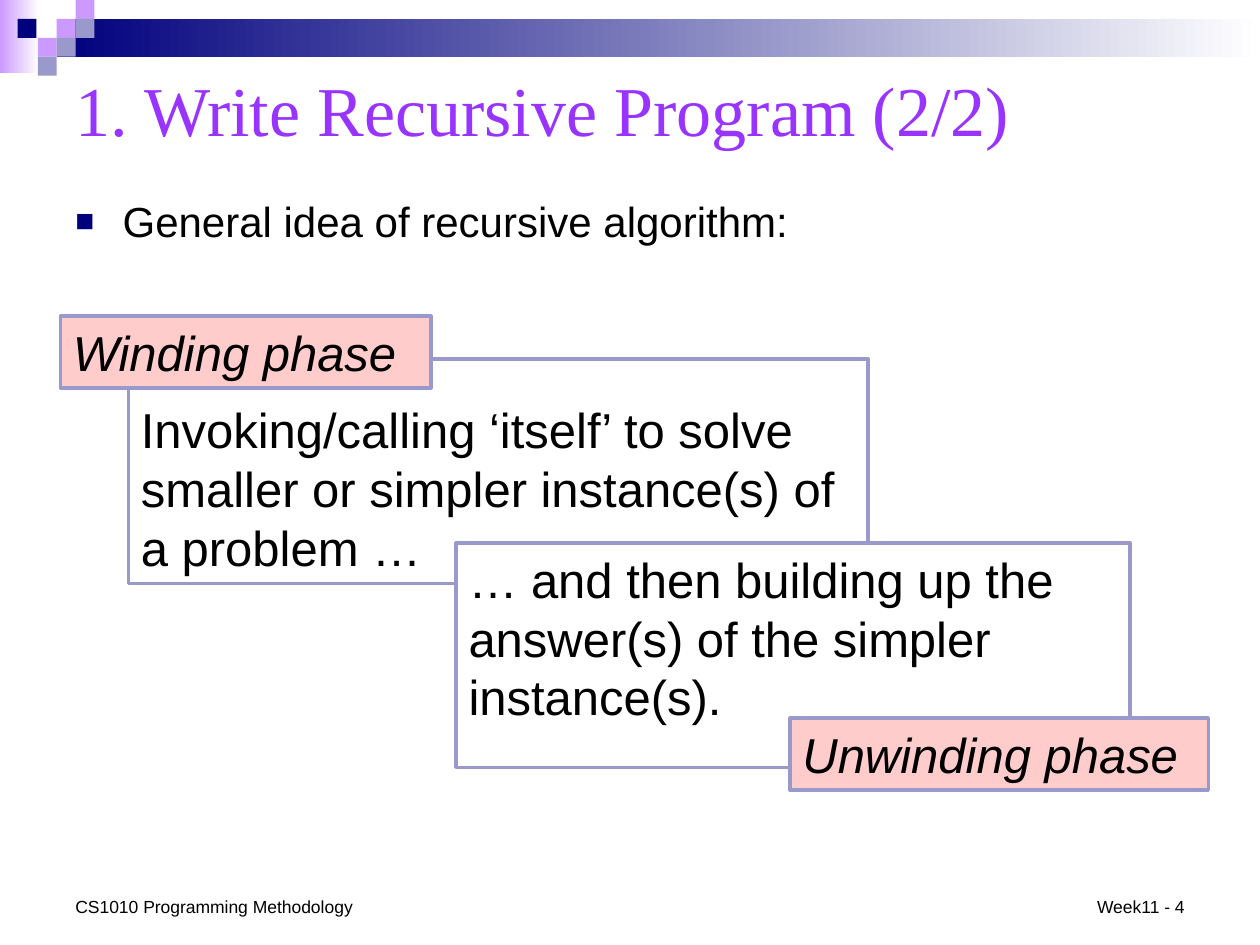
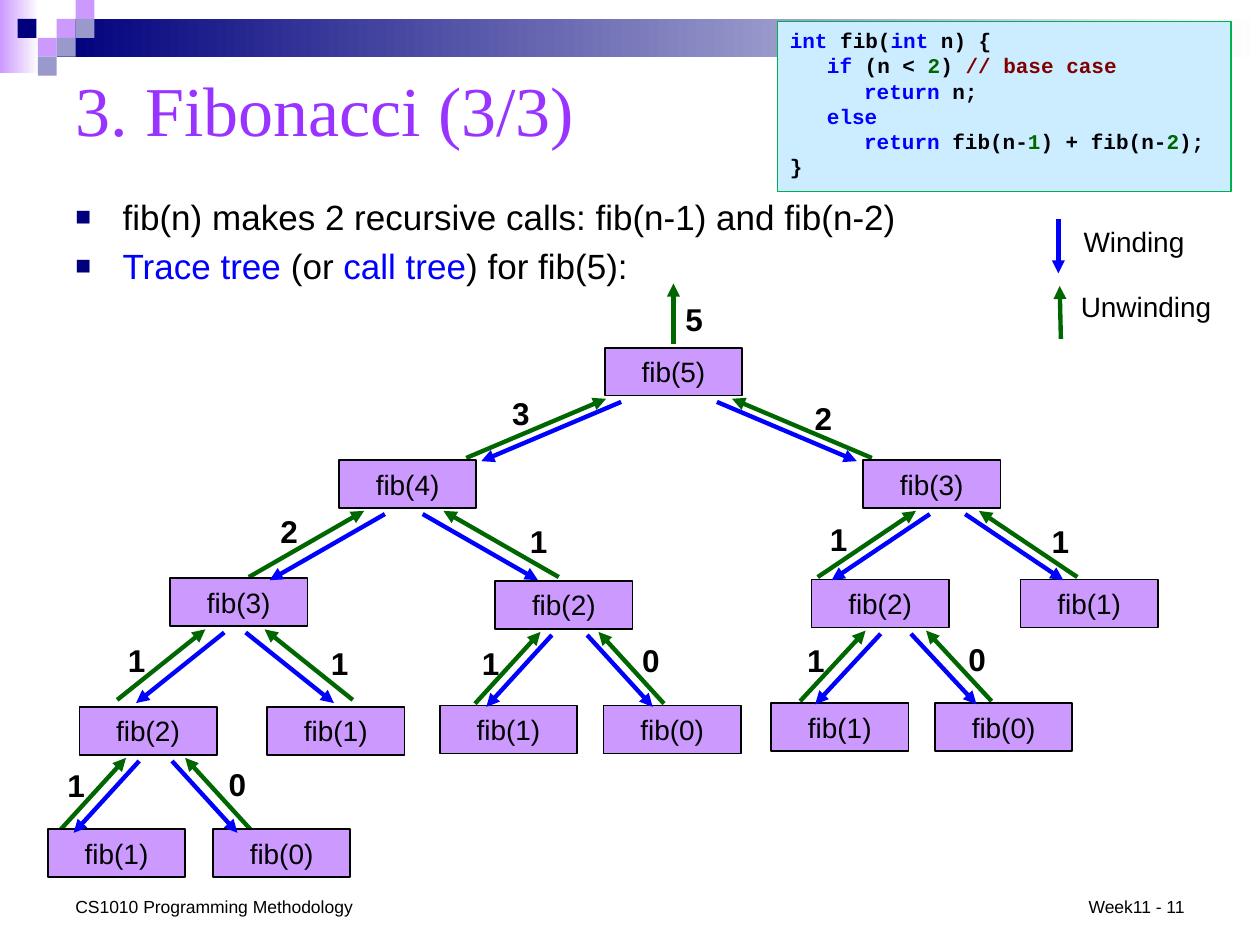
"""Build two lecture slides on recursion: the general idea and a Fibonacci call tree."""
import pptx
import pptx.dml.color
import pptx.enum.shapes
import pptx.enum.text
import pptx.oxml
import pptx.oxml.ns
import pptx.util

ALIGN = pptx.enum.text.PP_ALIGN
ANCHOR = pptx.enum.text.MSO_ANCHOR
RECTANGLE = pptx.enum.shapes.MSO_SHAPE.RECTANGLE
STRAIGHT = pptx.enum.shapes.MSO_CONNECTOR.STRAIGHT

BLACK, WHITE, NAVY = "000000", "FFFFFF", "00007D"
VIOLET, LILAC, SLATE, PINK = "9933FF", "CC99FF", "9999CC", "FFCCCC"
BLUE, GREEN, MAROON = "0000FF", "006600", "800000"
CODE_FILL, CODE_EDGE = "CCECFF", "00B050"

deck = pptx.Presentation()
deck.slide_width, deck.slide_height = pptx.util.Inches(10), pptx.util.Inches(7.5)
CELL = deck.slide_width / 100
NODE_COLS, NODE_ROWS = 10.9, 3.8
VALUE_COLS, VALUE_ROWS = 3.3, 3.1

TREE_NODES = [
    (5, 44.2, 5.1), (4, 23.1, 14), (3, 64.7, 14), (3, 9.7, 23.4),
    (2, 35.5, 23.6), (2, 60.6, 23.5), (1, 77.2, 23.5),
    (2, 2.5, 33.6), (1, 17.4, 33.6), (1, 31.1, 33.5), (0, 44.1, 33.5),
    (1, 57.4, 33.3), (0, 70.4, 33.3), (1, 0, 43.3), (0, 13.1, 43.3),
]
# parent, run, drop, lane gap, then (side, tip, value, value column, value row)
TREE_BRANCHES = [
    (0, 11.1, 4.7, 1.2, (-1, -5.35, 3, -12.1, 1.45), (1, 4.65, 2, 11.9, 1.85)),
    (1, 9.15, 5.25, 1.65, (-1, -3.45, 2, -9.4, 1.85), (1, 2.85, 1, 10.4, 2.65)),
    (2, 7.8, 5.25, 1.1, (-1, -1.25, 1, -7.4, 2.55), (1, 3.75, 1, 10.2, 2.65)),
    (3, 7, 5.6, 1.5, (-1, -2.65, 1, -8.1, 2.75), (1, 2.05, 1, 8, 2.95)),
    (4, 5.2, 5.7, 0.9, (-1, -1.85, 1, -5.8, 2.75), (1, 2.75, 0, 6.9, 2.55)),
    (5, 5.2, 5.6, 1.2, (-1, -1.15, 1, -5.1, 2.65), (1, 3.65, 0, 7.7, 2.55)),
    (7, 5.2, 5.7, 1.05, (-1, -1.75, 1, -5.7, 2.45), (1, 2.95, 0, 7.1, 2.35)),
]
FIB_CODE = [
    (0, [("int", BLUE), (" fib(", BLACK), ("int", BLUE), (" n) {", BLACK)]),
    (1, [("if", BLUE), (" (n < ", BLACK), ("2", GREEN), (")", BLACK),
         (" // base case", MAROON)]),
    (2, [("return", BLUE), (" n;", BLACK)]),
    (1, [("else", BLUE)]),
    (2, [("return", BLUE), (" fib(n-", BLACK), ("1", GREEN), (") + fib(n-", BLACK),
         ("2", GREEN), (");", BLACK)]),
    (0, [("}", BLACK)]),
]


def color(value):
    """Turn a hex string into a colour."""
    return pptx.dml.color.RGBColor.from_string(value)


def cells(*counts):
    """Turn counts of grid cells into slide lengths."""
    return [round(count * CELL) for count in counts]


def apply(target, values):
    """Set each named format value on the target."""
    for name, value in values.items():
        setattr(target, name, value)


def write(frame, lines, size, font="Arial", ink=BLACK, align=ALIGN.LEFT,
          bold=False, italic=False, **layout):
    """Write lines, each a string or a list of (text, ink) runs, into a frame."""
    apply(frame, {"word_wrap": True, "vertical_anchor": ANCHOR.TOP, **layout})
    for number, line in enumerate(lines):
        paragraph = frame.add_paragraph() if number else frame.paragraphs[0]
        paragraph.alignment = align
        for text, run_ink in [(line, ink)] if isinstance(line, str) else line:
            run = paragraph.add_run()
            run.text = text
            apply(run.font, {"size": pptx.util.Pt(size), "name": font,
                             "bold": bold, "italic": italic})
            run.font.color.rgb = color(run_ink)
    return frame.paragraphs


def add_text(slide, box, lines, size, **style):
    """Place a plain text box and return its paragraphs."""
    return write(slide.shapes.add_textbox(*cells(*box)).text_frame, lines, size, **style)


def add_panel(slide, box, fill, edge=None, weight=1.0):
    """Place a rectangle; a pair of fills makes a left-to-right gradient."""
    panel = slide.shapes.add_shape(RECTANGLE, *cells(*box))
    panel.shadow.inherit = False
    if isinstance(fill, tuple):
        panel.fill.gradient()
        panel.fill.gradient_angle = 0
        for stop, position, tint in zip(panel.fill.gradient_stops, (0, 1), fill):
            apply(stop, {"position": position})
            stop.color.rgb = color(tint)
    else:
        panel.fill.solid()
        panel.fill.fore_color.rgb = color(fill)
    if edge:
        panel.line.color.rgb = color(edge)
        panel.line.width = pptx.util.Pt(weight)
    else:
        panel.line.fill.background()
    return panel.text_frame


def add_arrow(slide, start, end, ink):
    """Draw a straight arrow from start to end."""
    arrow = slide.shapes.add_connector(STRAIGHT, *cells(*start, *end))
    arrow.line.color.rgb = color(ink)
    arrow.line.width = pptx.util.Pt(2.5)
    line_xml = arrow.line._get_or_add_ln()
    pptx.oxml.ns.qn("a:tailEnd")
    line_xml.append(pptx.oxml.parse_xml(
        f'<a:tailEnd {pptx.oxml.ns.nsdecls("a")} type="triangle"/>'))
    line_xml.getparent().append(pptx.oxml.parse_xml(
        f'<a:effectLst {pptx.oxml.ns.nsdecls("a")}/>'))


def corner_band(slide, box):
    """Draw the gradient band and the checkered corner along the top."""
    left, top, width, _ = box
    add_panel(slide, (left, top, 3.1, 5.8), (LILAC, WHITE))
    add_panel(slide, (left + 4.5, top + 1.5, width - 4.5, 3), (NAVY, WHITE))
    checks = [(3, 1, LILAC), (4, 0, LILAC), (4, 1, SLATE), (2, 2, LILAC),
              (0.93, 1, NAVY), (3, 2, SLATE), (2, 3, SLATE)]
    for column, row, tint in checks:
        add_panel(slide, (left + column * 1.5, top + row * 1.5, 1.5, 1.5), tint)


def footer(slide, box, page):
    """Place the course name at the left and the page at the right."""
    left, top, width, height = box
    style = {"vertical_anchor": ANCHOR.BOTTOM, "word_wrap": False}
    add_text(slide, (left, top, 24.2, height), ["CS1010 Programming Methodology"], 10, **style)
    add_text(slide, (left + width - 9.9, top, 9.9, height), [f"Week11 - {page}"], 10,
             align=ALIGN.RIGHT, **style)


def bullets(slide, box, lines, size):
    """List lines with square bullets."""
    for paragraph in add_text(slide, box, lines, size):
        paragraph.space_before = pptx.util.Pt(size * 0.2)
        properties = paragraph._p.get_or_add_pPr()
        indent, = cells(3.75)
        properties.set("marL", str(indent))
        properties.set("indent", str(-indent))
        for mark in (f'buClr {{ns}}><a:srgbClr val="{NAVY}"/></a:buClr',
                     'buSzPct {ns} val="75000"/', 'buFont {ns} typeface="Arial"/',
                     'buChar {ns} char="■"/'):
            properties.append(pptx.oxml.parse_xml(
                f'<a:{mark.format(ns=pptx.oxml.ns.nsdecls("a"))}>'))


def lecture_slide(title, page):
    """Start a slide with the shared band, title and footer."""
    slide = deck.slides.add_slide(deck.slide_layouts[6])
    corner_band(slide, (0, 0, 100, 6))
    add_text(slide, (5, 4.2, 90, 8.8), [title], 40, font="Times New Roman", ink=VIOLET,
             vertical_anchor=ANCHOR.MIDDLE)
    footer(slide, (5, 70.6, 90, 2.7), page)
    return slide


def phases(slide, box):
    """Show the two overlapping phases with their name tags."""
    left, top, _, _ = box
    lead, = cells(3.2)
    parts = [
        ((5.4, 3.4, 58.7, 17.8), WHITE, {"margin_top": lead},
         "Invoking/calling ‘itself’ to solve smaller or simpler instance(s) of a problem …"),
        ((31.4, 18, 53.5, 17.8), WHITE, {},
         "… and then building up the answer(s) of the simpler instance(s)."),
        ((0, 0, 29.4, 5.7), PINK, {"italic": True}, "Winding phase"),
        ((57.9, 31.9, 33.2, 5.7), PINK, {"italic": True}, "Unwinding phase"),
    ]
    for (column, row, columns, rows), fill, style, text in parts:
        panel = add_panel(slide, (left + column, top + row, columns, rows), fill, SLATE, 2)
        write(panel, [text], 28, **style)


def returned_value(slide, center, value):
    """Write a returned value around its centre point."""
    box = (center[0] - VALUE_COLS / 2, center[1] - VALUE_ROWS / 2, VALUE_COLS, VALUE_ROWS)
    bare = dict.fromkeys(("margin_left", "margin_top", "margin_right", "margin_bottom"), 0)
    add_text(slide, box, [str(value)], 18, bold=True, align=ALIGN.CENTER, **bare)


def call_tree(slide, box):
    """Draw the calls, the winding and unwinding arrows and the returned values."""
    left, top, _, _ = box
    windings = []
    for parent, run, drop, lane, *sides in TREE_BRANCHES:
        _, column, row = TREE_NODES[parent]
        middle, base = left + column + NODE_COLS / 2, top + row + NODE_ROWS
        for side, tip, value, across, down in sides:
            near, far = middle + tip, middle + tip + side * run
            add_arrow(slide, (far, base + 0.25 + drop), (near, base + 0.25), GREEN)
            returned_value(slide, (middle + across, base + down), value)
            windings.append(((near - side * lane, base + 0.5),
                             (far - side * lane, base + 0.5 + drop)))
    root = left + TREE_NODES[0][1] + NODE_COLS / 2
    add_arrow(slide, (root, top + 4.8), (root, top), GREEN)
    returned_value(slide, (root + VALUE_COLS / 2, top + 2.85), 5)
    for argument, column, row in TREE_NODES:
        node = add_panel(slide, (left + column, top + row, NODE_COLS, NODE_ROWS), LILAC, BLACK)
        write(node, [f"fib({argument})"], 16, align=ALIGN.CENTER,
              vertical_anchor=ANCHOR.MIDDLE)
    for start, end in windings:
        add_arrow(slide, start, end, BLUE)


def legend(slide, box):
    """Explain the two arrow colours."""
    left, top, _, _ = box
    add_arrow(slide, (left, top + 0.1), (left, top + 4.4), BLUE)
    add_text(slide, (left + 0.5, top, 11, 3.7), ["Winding"], 16, align=ALIGN.CENTER)
    add_arrow(slide, (left + 0.2, top + 9.6), (left + 0.1, top + 5.4), GREEN)
    add_text(slide, (left + 0.5, top + 5.2, 12.9, 3.7), ["Unwinding"], 16, align=ALIGN.CENTER)


def code_listing(slide, box):
    """Show the function with its lines indented by level."""
    panel = add_panel(slide, box, CODE_FILL, CODE_EDGE, 0.75)
    paragraphs = write(panel, [line for _, line in FIB_CODE], 12, font="Courier New", bold=True)
    for paragraph, (level, _) in zip(paragraphs, FIB_CODE):
        indent, = cells(level * 2.95)
        paragraph._p.get_or_add_pPr().set("marL", str(indent))


idea = lecture_slide("1. Write Recursive Program (2/2)", 4)
phases(idea, (4.8, 25.1, 91.1, 37.6))
bullets(idea, (5, 15, 90, 5), ["General idea of recursive algorithm:"], 24)

fibonacci = lecture_slide("3. Fibonacci (3/3)", 11)
call_tree(fibonacci, (3.8, 22.5, 88.1, 47.1))
legend(fibonacci, (84, 17.3, 13.4, 9.6))
code_listing(fibonacci, (61.7, 1.7, 36, 13.5))
bullets(fibonacci, (5, 15, 90, 8.4), [
    "fib(n) makes 2 recursive calls: fib(n-1) and fib(n-2)",
    [("Trace tree ", BLUE), ("(or ", BLACK), ("call tree", BLUE), (") for fib(5):", BLACK)],
], 20)

deck.save("out.pptx")
